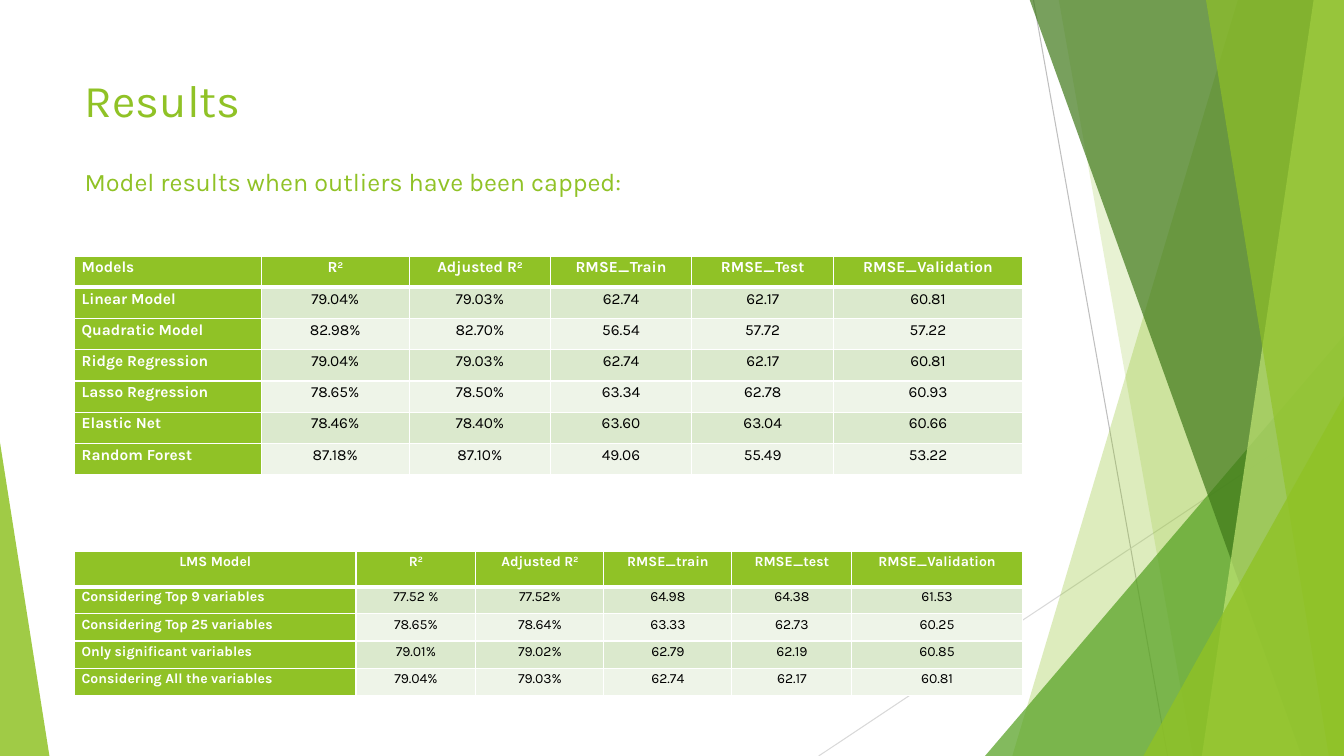
from lxml import etree
from pptx import Presentation
from pptx.dml.color import RGBColor
from pptx.enum.shapes import MSO_CONNECTOR as Connector, MSO_SHAPE as Preset
from pptx.enum.text import MSO_ANCHOR as Anchor, PP_ALIGN as Align
from pptx.oxml.ns import qn
from pptx.util import Inches, Pt

FONT = "Karla"
LIME = RGBColor(0x90, 0xC2, 0x26)
GREEN = RGBColor(0x54, 0xA0, 0x21)
FOREST = RGBColor(0x3F, 0x78, 0x19)
PALE_LIME = RGBColor(0xC0, 0xE4, 0x74)
BAND_DARK = RGBColor(0xDB, 0xE9, 0xCD)
BAND_LIGHT = RGBColor(0xEE, 0xF4, 0xE8)
GREY = RGBColor(0xBF, 0xBF, 0xBF)
LIGHT_GREY = RGBColor(0xD9, 0xD9, 0xD9)
WHITE = RGBColor(0xFF, 0xFF, 0xFF)
BLACK = RGBColor(0, 0, 0)

WIDTH, HEIGHT = 13.33, 7.5
LEFT = 0.74
TITLE = "Results"
SUBTITLE = "Model results when outliers have been capped:"

# A tuple in a cell is a base text and its superscript.
MODELS = [
    ["Models", ("R", "2"), ("Adjusted R", "2"), "RMSE_Train", "RMSE_Test", "RMSE_Validation"],
    ["Linear Model", "79.04%", "79.03%", "62.74", "62.17", "60.81"],
    ["Quadratic Model", "82.98%", "82.70%", "56.54", "57.72", "57.22"],
    ["Ridge Regression", "79.04%", "79.03%", "62.74", "62.17", "60.81"],
    ["Lasso Regression", "78.65%", "78.50%", "63.34", "62.78", "60.93"],
    ["Elastic Net", "78.46%", "78.40%", "63.60", "63.04", "60.66"],
    ["Random Forest", "87.18%", "87.10%", "49.06", "55.49", "53.22"],
]
LMS_MODELS = [
    ["LMS Model", ("R", "2"), ("Adjusted R", "2"), "RMSE_train", "RMSE_test", "RMSE_Validation"],
    ["Considering Top 9 variables", "77.52 %", "77.52%", "64.98", "64.38", "61.53"],
    ["Considering Top 25 variables", "78.65%", "78.64%", "63.33", "62.73", "60.25"],
    ["Only significant variables", "79.01%", "79.02%", "62.79", "62.19", "60.85"],
    ["Considering All the variables", "79.04%", "79.03%", "62.74", "62.17", "60.81"],
]
# rows, top, column widths, header height, row height, text size, header alignment of column one
TABLES = [
    (MODELS, 2.54, [1.85, 1.47, 1.4, 1.4, 1.41, 1.87], 0.31, 0.31, 11, Align.LEFT),
    (LMS_MODELS, 5.47, [2.79, 1.19, 1.27, 1.27, 1.19, 1.69], 0.35, 0.27, 10, Align.CENTER),
]

HAIRLINES = [
    ((10.25, 0), (11.58, HEIGHT), GREY),
    ((WIDTH, 4.03), (8.12, HEIGHT), LIGHT_GREY),
]
# Back to front. A ribbon runs from top x to bottom x and fills to the right edge;
# a wedge has left, top, width and the apex position.
FACETS = [
    ("ribbon", (12.28, 10.04), LIME, 30),
    ("ribbon", (10.5, 11.83), LIME, 20),
    ("wedge", (9.77, 3.33, 3.56, 1), GREEN, 72),
    ("ribbon", (10.21, 12.91), FOREST, 70),
    ("ribbon", (13.03, 11.92), PALE_LIME, 70),
    ("ribbon", (11.96, 13.18), LIME, 65),
    ("wedge", (11.34, 3.93, 1.99, 1), LIME, 80),
    ("wedge", (0, 4.39, 0.49, 0), LIME, 85),
]


def add_hairline(page, start, end, color):
    line = page.shapes.add_connector(Connector.STRAIGHT, *map(Inches, start + end))
    line.line.color.rgb = color
    line.line.width = Pt(0.75)
    etree.SubElement(line._element.spPr, qn("a:effectLst"))


def add_facet(page, kind, place, color, opacity):
    if kind == "ribbon":
        top_x, bottom_x = place
        outline = [(WIDTH, -0.01), (WIDTH, HEIGHT), (bottom_x, HEIGHT)]
        builder = page.shapes.build_freeform(Inches(top_x), Inches(-0.01))
        builder.add_line_segments([(Inches(x), Inches(y)) for x, y in outline], close=True)
        facet = builder.convert_to_shape()
    else:
        left, top, width, apex = place
        facet = page.shapes.add_shape(Preset.ISOSCELES_TRIANGLE, Inches(left), Inches(top),
                                      Inches(width), Inches(HEIGHT - top))
        facet.adjustments[0] = apex
    facet.shadow.inherit = False
    facet.line.fill.background()
    facet.fill.solid()
    facet.fill.fore_color.rgb = color
    tint = facet._element.spPr.find(qn("a:solidFill"))[0]
    etree.SubElement(tint, qn("a:alpha"), val=str(opacity * 1000))


def style_font(para, size, color, bold=False):
    font = para.font
    font.name, font.size, font.bold = FONT, Pt(size), bold
    font.color.rgb = color


def write_heading(box, text, size, place):
    box.left, box.top, box.width, box.height = map(Inches, place)
    frame = box.text_frame
    frame.word_wrap = True
    frame.vertical_anchor = Anchor.TOP
    para = frame.paragraphs[0]
    para.text = text
    para.alignment = Align.LEFT
    style_font(para, size, LIME)


def set_borders(cell, top, bottom):
    properties = cell._tc.get_or_add_tcPr()
    for side, points in (("L", 1), ("R", 1), ("T", top), ("B", bottom)):
        border = etree.SubElement(properties, qn("a:ln" + side), w=str(Pt(points)))
        fill = etree.SubElement(border, qn("a:solidFill"))
        etree.SubElement(fill, qn("a:srgbClr"), val=str(WHITE))


def fill_cell(cell, content, size, align, row, column):
    is_label = row == 0 or column == 0
    set_borders(cell, 3 if row == 1 else 1, 3 if row == 0 else 1)
    cell.fill.solid()
    cell.fill.fore_color.rgb = LIME if is_label else BAND_DARK if row % 2 else BAND_LIGHT
    cell.margin_left = cell.margin_right = Inches(0.07)
    cell.margin_top = cell.margin_bottom = 0
    para = cell.text_frame.paragraphs[0]
    para.alignment = align
    para.line_spacing = 1.15
    style_font(para, size, WHITE if is_label else BLACK, is_label)
    parts = content if isinstance(content, tuple) else (content,)
    for index, part in enumerate(parts):
        span = para.add_run()
        span.text = part
        if index:
            span._r.get_or_add_rPr().set("baseline", "30000")


def add_results(page, rows, top, widths, header_height, row_height, size, corner_align):
    heights = [header_height] + [row_height] * (len(rows) - 1)
    table = page.shapes.add_table(len(rows), len(widths), Inches(LEFT), Inches(top),
                                  Inches(sum(widths)), Inches(sum(heights))).table
    for column, width in zip(table.columns, widths):
        column.width = Inches(width)
    for r, (values, height) in enumerate(zip(rows, heights)):
        table.rows[r].height = Inches(height)
        for c, content in enumerate(values):
            align = Align.CENTER if c else Align.LEFT if r else corner_align
            fill_cell(table.cell(r, c), content, size, align, r, c)


def main():
    deck = Presentation()
    deck.slide_width, deck.slide_height = Inches(WIDTH), Inches(HEIGHT)
    page = deck.slides.add_slide(deck.slide_layouts[5])
    for hairline in HAIRLINES:
        add_hairline(page, *hairline)
    for facet in FACETS:
        add_facet(page, *facet)
    title = page.shapes.title
    page.shapes._spTree.append(title._element)  # bring in front of the facets
    write_heading(title, TITLE, 32.4, (LEFT, 0.67, 5.27, 0.94))
    subtitle = page.shapes.add_textbox(0, 0, 0, 0)
    write_heading(subtitle, SUBTITLE, 18, (LEFT, 1.6, 6.36, 0.4))
    for results in TABLES:
        add_results(page, *results)
    deck.save("out.pptx")


if __name__ == "__main__":
    main()
